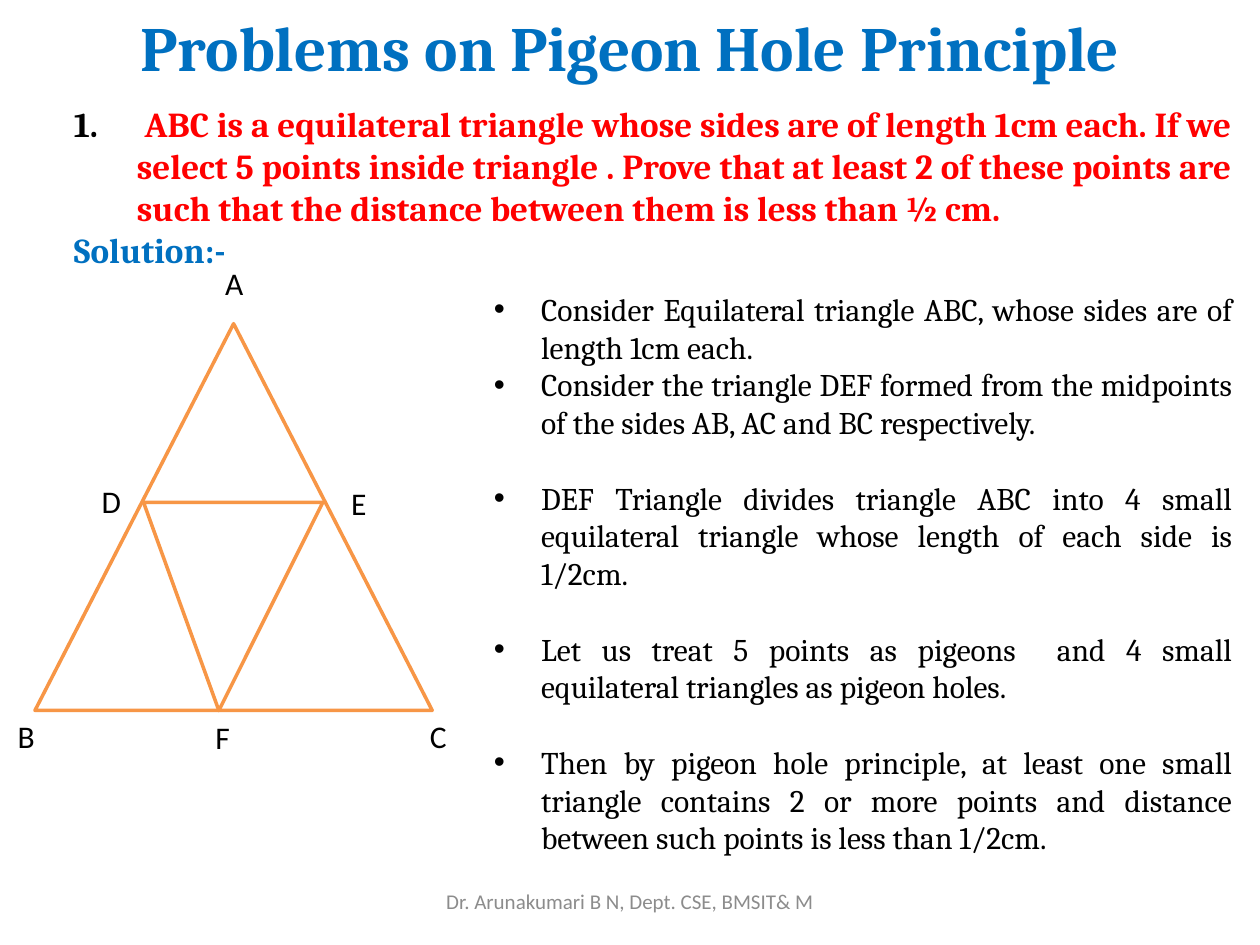
"""Build the slide that solves a pigeon hole problem on an equilateral triangle."""

import dataclasses
import typing

import lxml.etree
import pptx
import pptx.dml.color
import pptx.enum.shapes
import pptx.enum.text
import pptx.oxml.ns
import pptx.util

Pt = pptx.util.Pt
ALIGN = pptx.enum.text.PP_ALIGN
ANCHOR = pptx.enum.text.MSO_ANCHOR

COLORS = {
    "blue": "0070C0",
    "red": "FF0000",
    "black": "000000",
    "white": "FFFFFF",
    "orange": "F79646",
    "grey": "8C8C8C",
}


@dataclasses.dataclass(frozen=True)
class Box:
    """Position and size in points."""

    left: float
    top: float
    width: float
    height: float

    def lengths(self) -> tuple:
        """Return the four values as lengths."""
        return tuple(Pt(v) for v in (self.left, self.top, self.width, self.height))


@dataclasses.dataclass(frozen=True)
class Style:
    """Look of a run of text."""

    size: float
    color: str
    font: str = "Cambria"
    bold: bool = False


@dataclasses.dataclass(frozen=True)
class Item:
    """Paragraph of a list, with its marker and indents in points."""

    text: str
    style: Style
    margin: float
    indent: float = 0
    marker: str = "buNone"
    marker_attributes: tuple = ()
    space_before: float = 0


@dataclasses.dataclass(frozen=True)
class Triangle:
    """Triangle with the relative place of its apex."""

    box: Box
    rotation: float = 0
    apex: float = 0.5


@dataclasses.dataclass(frozen=True)
class Label:
    """Name of a triangle point and the corner of its box."""

    text: str
    left: float
    top: float


TITLE = Style(36, "blue", bold=True)
PROBLEM = Style(20, "red", bold=True)
SOLUTION = Style(20, "blue", bold=True)
STEP = Style(18, "black")
POINT = Style(18, "black", "Calibri")
FOOTER = Style(12, "grey", "Calibri")

STATEMENT = [
    Item(
        " ABC is a equilateral triangle whose sides are of length 1cm each. "
        "If we select 5 points inside triangle . Prove that at least 2 of these "
        "points are such that the distance between them is less than ½ cm.",
        PROBLEM, 68, -36, "buAutoNum", (("type", "arabicPeriod"),),
    ),
    Item("Solution:-", SOLUTION, 32),
]


def step(text: str, space_before: float = 21.5) -> Item:
    """Describe one bulleted step of the proof."""
    return Item(text, STEP, 27, -27, "buChar", (("char", "•"),), space_before)


STEPS = [
    step("Consider Equilateral triangle ABC, whose sides are of length 1cm each.", 0),
    step("Consider the triangle DEF formed from the midpoints of the sides AB, AC "
         "and BC respectively.", 0),
    step("DEF Triangle divides triangle ABC into 4 small equilateral triangle whose "
         "length of each side is 1/2cm."),
    step("Let us treat 5 points as pigeons  and 4 small equilateral triangles as "
         "pigeon holes."),
    step("Then by pigeon hole principle, at least one small triangle contains 2 or "
         "more points and distance between such points is less than 1/2cm."),
]

TRIANGLES = [
    Triangle(Box(20, 185, 227, 221)),
    Triangle(Box(82, 287, 102.5, 119), 180, 0.58),
]

LABELS = [
    Label("A", 121.5, 147.5),
    Label("B", 3, 406),
    Label("C", 238.5, 406),
    Label("D", 51, 272),
    Label("E", 193.5, 273),
    Label("F", 116, 407),
]


def rgb(name: str) -> pptx.dml.color.RGBColor:
    """Return a named colour."""
    return pptx.dml.color.RGBColor.from_string(COLORS[name])


def add_run(paragraph: typing.Any, text: str, style: Style) -> None:
    """Add a styled run to a paragraph."""
    run = paragraph.add_run()
    run.text = text
    run.font.name = style.font
    run.font.size = Pt(style.size)
    run.font.bold = style.bold
    run.font.color.rgb = rgb(style.color)


def set_marker(paragraph: typing.Any, item: Item) -> None:
    """Set the indents and the bullet or number of a paragraph."""
    qn = pptx.oxml.ns.qn
    properties = paragraph._p.get_or_add_pPr()
    properties.set("marL", str(Pt(item.margin)))
    properties.set("indent", str(Pt(item.indent)))
    color = lxml.etree.SubElement(properties, qn("a:buClr"))
    lxml.etree.SubElement(color, qn("a:srgbClr"), val=COLORS["black"])
    lxml.etree.SubElement(properties, qn("a:" + item.marker), dict(item.marker_attributes))


def place(shape: typing.Any, box: Box) -> None:
    """Move and size a shape."""
    shape.left, shape.top, shape.width, shape.height = box.lengths()


def fill_list(shape: typing.Any, box: Box, items: typing.Sequence[Item]) -> None:
    """Place a body placeholder and write its paragraphs."""
    place(shape, box)
    frame = shape.text_frame
    frame.auto_size = pptx.enum.text.MSO_AUTO_SIZE.NONE
    frame.vertical_anchor = ANCHOR.TOP
    for index, item in enumerate(items):
        paragraph = frame.add_paragraph() if index else frame.paragraphs[0]
        set_marker(paragraph, item)
        paragraph.alignment = ALIGN.JUSTIFY
        paragraph.space_before = Pt(item.space_before)
        add_run(paragraph, item.text, item.style)


def add_triangle(slide: typing.Any, triangle: Triangle) -> None:
    """Draw an outlined triangle."""
    kind = pptx.enum.shapes.MSO_SHAPE.ISOSCELES_TRIANGLE
    shape = slide.shapes.add_shape(kind, *triangle.box.lengths())
    shape.adjustments[0] = triangle.apex
    shape.rotation = triangle.rotation
    shape.shadow.inherit = False
    shape.fill.solid()
    shape.fill.fore_color.rgb = rgb("white")
    shape.line.color.rgb = rgb("orange")
    shape.line.width = Pt(2)


def add_text(slide: typing.Any, box: Box, text: str, style: Style,
             alignment: ALIGN = ALIGN.LEFT, anchor: ANCHOR = ANCHOR.TOP) -> None:
    """Add a text box of one line."""
    frame = slide.shapes.add_textbox(*box.lengths()).text_frame
    frame.word_wrap = True
    frame.vertical_anchor = anchor
    frame.paragraphs[0].alignment = alignment
    add_run(frame.paragraphs[0], text, style)


def main() -> None:
    """Build and save the presentation."""
    presentation = pptx.Presentation()
    presentation.slide_width, presentation.slide_height = Pt(720), Pt(540)
    slide = presentation.slides.add_slide(presentation.slide_layouts.get_by_name("Two Content"))
    title, statement, steps = slide.placeholders
    place(title, Box(54, -1.5, 612, 56))
    title.text_frame.vertical_anchor = ANCHOR.MIDDLE
    add_run(title.text_frame.paragraphs[0], "Problems on Pigeon Hole Principle", TITLE)
    fill_list(statement, Box(3, 55, 708.5, 85), STATEMENT)
    fill_list(steps, Box(275, 162, 436.5, 334), STEPS)
    for triangle in TRIANGLES:
        add_triangle(slide, triangle)
    for label in LABELS:
        add_text(slide, Box(label.left, label.top, 26, 29), label.text, POINT)
    add_text(slide, Box(246, 500.5, 228, 29), "Dr. Arunakumari B N, Dept. CSE, BMSIT& M",
             FOOTER, ALIGN.CENTER, ANCHOR.MIDDLE)
    presentation.save("out.pptx")


if __name__ == "__main__":
    main()
